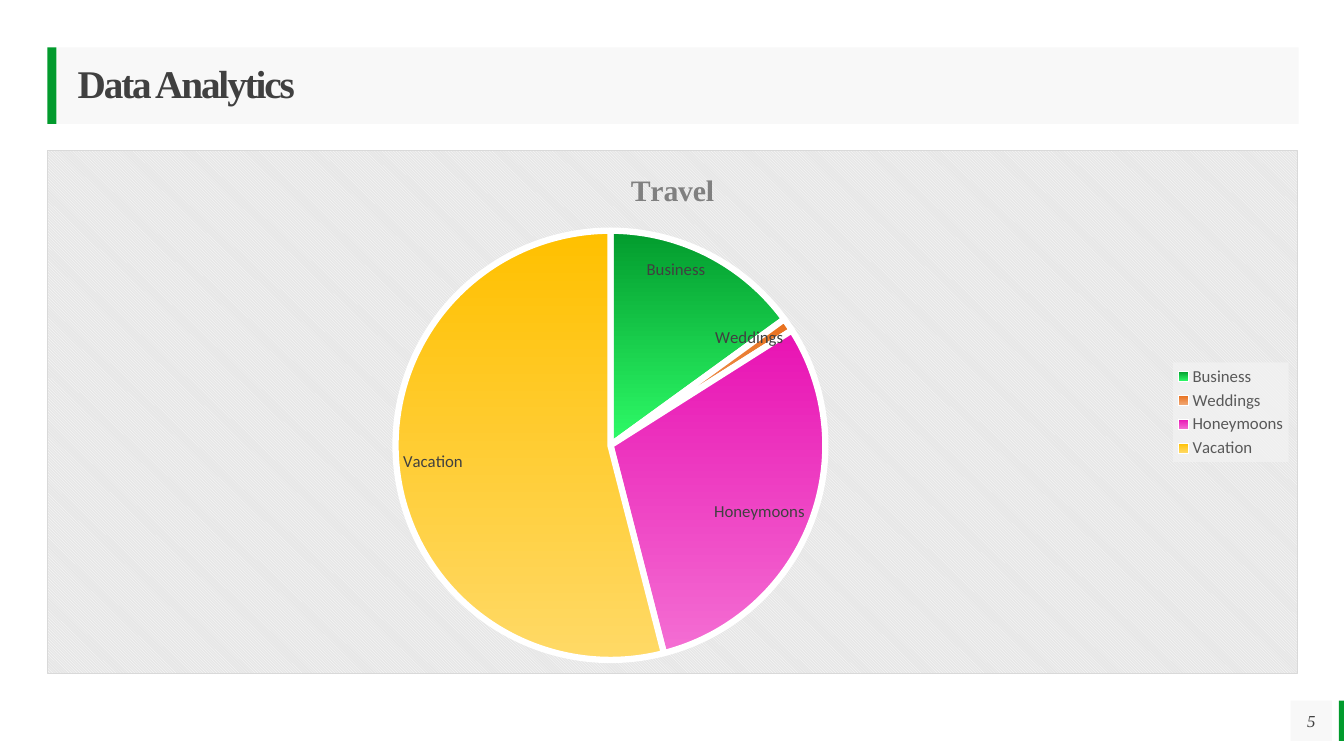
from lxml.etree import fromstring
from pptx import Presentation
from pptx.chart.data import CategoryChartData
from pptx.dml.color import RGBColor
from pptx.enum.chart import XL_CHART_TYPE, XL_LABEL_POSITION, XL_LEGEND_POSITION
from pptx.enum.shapes import MSO_SHAPE
from pptx.enum.text import MSO_ANCHOR, PP_ALIGN
from pptx.oxml.ns import nsdecls, qn
from pptx.util import Inches, Pt

GREEN, PALE, DARK = "029B2D", "F2F2F2", "404040"
SERIF, SANS = "Times New Roman", "Calibri"

# category: (value, gradient top, gradient bottom)
TRAVEL = {
    "Business": (15, GREEN, "2EFC68"),
    "Weddings": (1, "E86F1B", "F1A976"),
    "Honeymoons": (30, "E812B3", "F46ED3"),
    "Vacation": (54, "FFC000", "FFD966"),
}


def color(hex_code):
    return RGBColor.from_string(hex_code)


def style_font(font, size, hex_code, name=SERIF, bold=False, italic=False):
    font.size, font.name = Pt(size), name
    font.bold, font.italic = bold, italic
    font.color.rgb = color(hex_code)


def write(frame, text, align=PP_ALIGN.LEFT, inset=0, tracking=0, line_spacing=None, **font):
    """Put one formatted paragraph in a text frame."""
    frame.word_wrap = True
    frame.vertical_anchor = MSO_ANCHOR.MIDDLE
    frame.margin_left = Inches(inset)
    frame.margin_top = frame.margin_right = frame.margin_bottom = 0
    paragraph = frame.paragraphs[0]
    paragraph.alignment = align
    paragraph.line_spacing = line_spacing
    run = paragraph.add_run()
    run.text = text
    style_font(run.font, **font)
    if tracking:
        run.font._element.set("spc", str(int(tracking * 100)))


def half_clear(shape, hex_code):
    """Fill a shape at 50 % opacity."""
    shape.fill.solid()
    shape.fill.fore_color.rgb = color(hex_code)
    srgb = shape.fill._xPr.find(".//" + qn("a:srgbClr"))
    srgb.append(fromstring(f'<a:alpha {nsdecls("a")} val="50000"/>'))


def chart_area(fill_and_line):
    return fromstring(f'<c:spPr {nsdecls("c", "a")}>{fill_and_line}</c:spPr>')


class AnalyticsSlide:
    def __init__(self, deck):
        self.slide = deck.slides.add_slide(deck.slide_layouts[5])

    def block(self, left, top, width, height, fill=None):
        shape = self.slide.shapes.add_shape(
            MSO_SHAPE.RECTANGLE, Inches(left), Inches(top), Inches(width), Inches(height))
        shape.shadow.inherit = False
        shape.line.fill.background()
        if fill:
            shape.fill.solid()
            shape.fill.fore_color.rgb = color(fill)
        return shape

    def title(self, text, left, top, width, height):
        title = self.slide.shapes.title
        title.left, title.top = Inches(left), Inches(top)
        title.width, title.height = Inches(width), Inches(height)
        half_clear(title, PALE)
        write(title.text_frame, text, inset=0.2, tracking=-1.5, line_spacing=0.9,
              size=28, hex_code=DARK, bold=True)

    def page_number(self, text, left, top, width, height):
        box = self.block(left, top, width, height)
        half_clear(box, PALE)
        write(box.text_frame, text, align=PP_ALIGN.CENTER, size=12, hex_code=DARK, italic=True)

    def pie(self, name, slices, left, top, width, height):
        data = CategoryChartData()
        data.categories = list(slices)
        data.add_series(name, [value for value, *_ in slices.values()])
        chart = self.slide.shapes.add_chart(
            XL_CHART_TYPE.PIE, Inches(left), Inches(top), Inches(width), Inches(height), data).chart
        style_font(chart.font, 10, "000000", SANS)

        # Chart title
        chart.has_title = True
        heading = chart.chart_title.text_frame.paragraphs[0].add_run()
        heading.text = name
        style_font(heading.font, 21.3, "808080", bold=True)
        chart.chart_title.include_in_layout = False

        # Legend
        chart.has_legend = True
        chart.legend.position = XL_LEGEND_POSITION.RIGHT
        chart.legend.include_in_layout = False
        style_font(chart.legend.font, 12, "595959", SANS)

        # Slices and their labels
        plot = chart.plots[0]
        plot.vary_by_categories = True
        for index, (_, upper, lower) in enumerate(slices.values()):
            form = plot.series[0].points[index].format
            form.fill.gradient()
            form.fill.gradient_angle = 270
            for stop, position, shade in zip(form.fill.gradient_stops, (0, 1), (upper, lower)):
                stop.position = position
                stop.color.rgb = color(shade)
            form.line.color.rgb = color("FFFFFF")
            form.line.width = Pt(4.5)
        labels = plot.series[0].data_labels
        labels.show_category_name = True
        labels.show_value = labels.show_percentage = False
        labels.show_legend_key = False
        labels.position = XL_LABEL_POSITION.INSIDE_END
        style_font(labels.font, 12, DARK, SANS)

        # Striped chart area and translucent legend box
        space = chart.element
        space.find(qn("c:txPr")).addprevious(chart_area(
            '<a:pattFill prst="dkDnDiag"><a:fgClr><a:srgbClr val="FFFFFF"/></a:fgClr>'
            '<a:bgClr><a:srgbClr val="E6E6E6"/></a:bgClr></a:pattFill>'
            '<a:ln w="9525"><a:solidFill><a:srgbClr val="D9D9D9"/></a:solidFill></a:ln>'))
        space.find(".//" + qn("c:legend")).find(qn("c:txPr")).addprevious(chart_area(
            f'<a:solidFill><a:srgbClr val="{PALE}"><a:alpha val="78000"/></a:srgbClr></a:solidFill>'
            '<a:ln><a:noFill/></a:ln>'))


def main():
    deck = Presentation()
    deck.slide_width, deck.slide_height = Inches(13.33), Inches(7.5)
    page = AnalyticsSlide(deck)

    # Header
    page.block(0.47, 0.47, 0.09, 0.76, GREEN)
    page.title("Data Analytics", 0.57, 0.47, 12.31, 0.76)

    # Travel shares
    page.pie("Travel", TRAVEL, 0.47, 1.49, 12.4, 5.2)

    # Footer
    page.block(13.28, 6.95, 0.05, 0.4, GREEN)
    page.page_number("5", 12.8, 6.95, 0.41, 0.4)

    deck.save("out.pptx")


if __name__ == "__main__":
    main()
